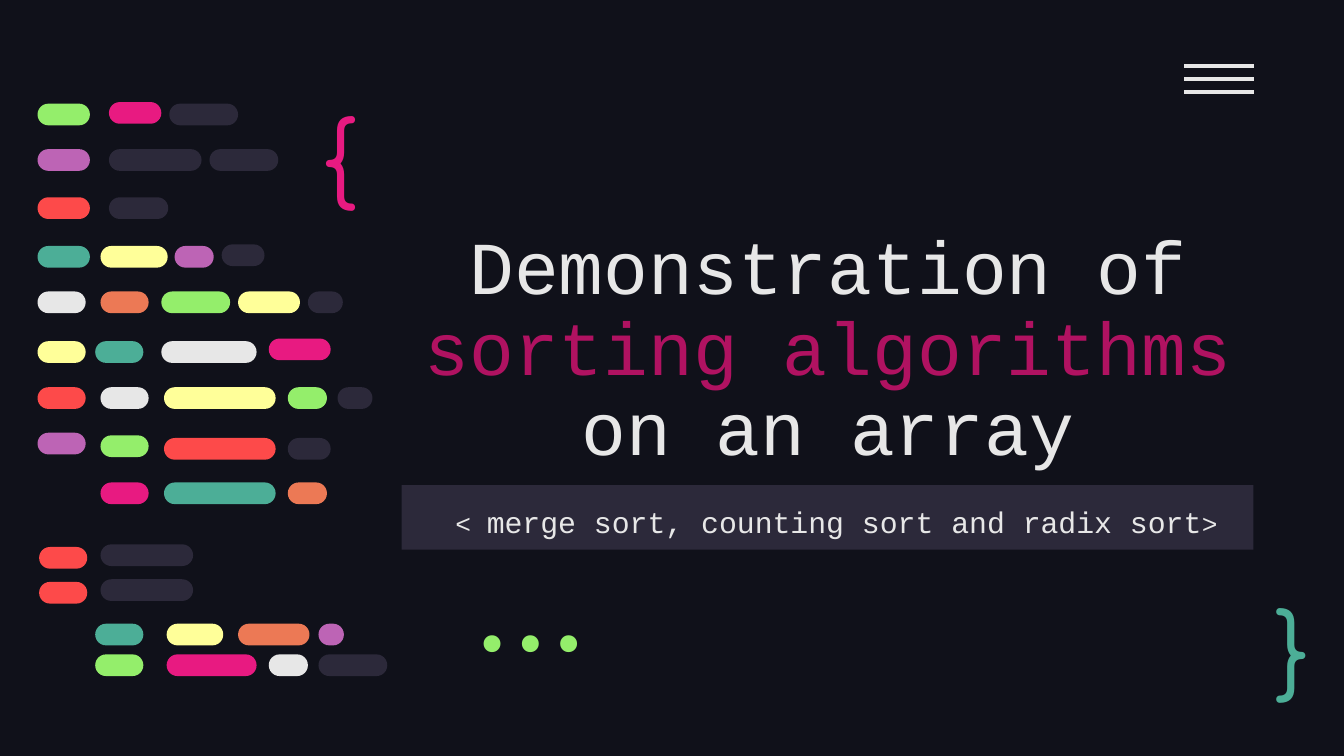
from typing import NamedTuple, Optional

import pptx
import pptx.dml.color
import pptx.enum.shapes
import pptx.enum.text
import pptx.oxml.ns
import pptx.util
from lxml import etree

Cm = pptx.util.Cm
ALIGN = pptx.enum.text.PP_ALIGN
ANCHOR = pptx.enum.text.MSO_ANCHOR

COLORS = {
    "night": "10111A",
    "slate": "2C293A",
    "white": "E7E7E7",
    "berry": "B01261",
    "pink": "E81A81",
    "teal": "4CAE97",
    "green": "94EE6B",
    "purple": "BD64B5",
    "red": "FD4A4A",
    "yellow": "FFFF99",
    "orange": "EC7955",
}
PILL_HEIGHT = 0.41


class Pill(NamedTuple):
    left: float
    top: float
    width: float
    color: str


class Run(NamedTuple):
    text: str
    size: float
    font: str
    color: str


class Label(NamedTuple):
    left: float
    top: float
    width: float
    height: float
    runs: list[Run]
    align: ALIGN = ALIGN.LEFT
    anchor: ANCHOR = ANCHOR.TOP
    spacing: float = 1.0
    fill: Optional[str] = None


MONO = "Courier New"
LABELS = [
    Label(7.59, 3.51, 16.1, 5.66, [
        Run("Demonstration of ", 40, MONO, "white"),
        Run("sorting algorithms ", 40, MONO, "berry"),
        Run("on an array", 40, MONO, "white"),
    ], ALIGN.CENTER, ANCHOR.BOTTOM, 0.9),
    Label(7.59, 9.17, 16.1, 1.22, [
        Run(" ", 16, MONO, "white"),
        Run("< ", 14, MONO, "white"),
        Run("merge sort, counting sort and radix sort", 16, MONO, "white"),
        Run(">", 14, MONO, "white"),
    ], ALIGN.CENTER, ANCHOR.TOP, 1.15, "slate"),
    Label(5.82, 1.57, 1.96, 2.41, [Run("{", 50, "Comfortaa", "pink")]),
    Label(23.85, 11.13, 1.45, 2.11, [Run("}", 50, "Comfortaa", "teal")],
          anchor=ANCHOR.MIDDLE),
    Label(7.9, 11.4, 4.01, 1.52, [Run("...", 50, "Fira Code", "green")],
          ALIGN.RIGHT, ANCHOR.BOTTOM),
]

PILLS = [
    Pill(0.71, 1.96, 0.99, "green"),
    Pill(2.06, 1.93, 0.99, "pink"),
    Pill(3.2, 1.96, 1.3, "slate"),
    Pill(0.71, 2.82, 0.99, "purple"),
    Pill(2.06, 2.82, 1.75, "slate"),
    Pill(3.96, 2.82, 1.3, "slate"),
    Pill(0.71, 3.73, 0.99, "red"),
    Pill(2.06, 3.73, 1.12, "slate"),
    Pill(0.71, 4.65, 0.99, "teal"),
    Pill(1.9, 4.65, 1.27, "yellow"),
    Pill(3.3, 4.65, 0.74, "purple"),
    Pill(4.19, 4.62, 0.81, "slate"),
    Pill(0.71, 5.51, 0.91, "white"),
    Pill(1.9, 5.51, 0.91, "orange"),
    Pill(3.05, 5.51, 1.3, "green"),
    Pill(4.5, 5.51, 1.17, "yellow"),
    Pill(5.82, 5.51, 0.66, "slate"),
    Pill(0.71, 6.45, 0.91, "yellow"),
    Pill(1.8, 6.45, 0.91, "teal"),
    Pill(3.05, 6.45, 1.8, "white"),
    Pill(5.08, 6.4, 1.17, "pink"),
    Pill(0.71, 7.32, 0.91, "red"),
    Pill(1.9, 7.32, 0.91, "white"),
    Pill(3.1, 7.32, 2.11, "yellow"),
    Pill(5.44, 7.32, 0.74, "green"),
    Pill(6.38, 7.32, 0.66, "slate"),
    Pill(0.71, 8.18, 0.91, "purple"),
    Pill(1.9, 8.23, 0.91, "green"),
    Pill(3.1, 8.28, 2.11, "red"),
    Pill(5.44, 8.28, 0.81, "slate"),
    Pill(1.9, 9.12, 0.91, "pink"),
    Pill(3.1, 9.12, 2.11, "teal"),
    Pill(5.44, 9.12, 0.74, "orange"),
    Pill(0.74, 10.34, 0.91, "red"),
    Pill(1.9, 10.29, 1.75, "slate"),
    Pill(0.74, 11, 0.91, "red"),
    Pill(1.9, 10.95, 1.75, "slate"),
    Pill(1.8, 11.79, 0.91, "teal"),
    Pill(3.15, 11.79, 1.07, "yellow"),
    Pill(4.5, 11.79, 1.35, "orange"),
    Pill(6.02, 11.79, 0.48, "purple"),
    Pill(1.8, 12.37, 0.91, "green"),
    Pill(3.15, 12.37, 1.7, "pink"),
    Pill(5.08, 12.37, 0.74, "white"),
    Pill(6.02, 12.37, 1.3, "slate"),
]


def rgb(name: str) -> pptx.dml.color.RGBColor:
    return pptx.dml.color.RGBColor.from_string(COLORS[name])


def draw_label(shapes, label: Label) -> None:
    sp = shapes.add_textbox(Cm(label.left), Cm(label.top), Cm(label.width), Cm(label.height))
    if label.fill:
        sp.fill.solid()
        sp.fill.fore_color.rgb = rgb(label.fill)
    tf = sp.text_frame
    tf.word_wrap = True
    tf.vertical_anchor = label.anchor
    tf.margin_left = tf.margin_right = tf.margin_top = tf.margin_bottom = Cm(0.25)
    p = tf.paragraphs[0]
    p.alignment = label.align
    p.line_spacing = label.spacing
    for run in label.runs:
        r = p.add_run()
        r.text = run.text
        r.font.size = pptx.util.Pt(run.size)
        r.font.name = run.font
        r.font.color.rgb = rgb(run.color)


def draw_pill(shapes, pill: Pill) -> None:
    sp = shapes.add_shape(pptx.enum.shapes.MSO_SHAPE.ROUNDED_RECTANGLE,
                          Cm(pill.left), Cm(pill.top), Cm(pill.width), Cm(PILL_HEIGHT))
    sp.adjustments[0] = 0.5
    sp.shadow.inherit = False
    sp.fill.solid()
    sp.fill.fore_color.rgb = rgb(pill.color)
    sp.line.fill.background()


def draw_menu_bar(shapes, top: float) -> None:
    bar = shapes.add_connector(pptx.enum.shapes.MSO_CONNECTOR.STRAIGHT,
                               Cm(22.38), Cm(top), Cm(23.7), Cm(top))
    bar.line.color.rgb = rgb("white")
    bar.line.width = pptx.util.Pt(2.25)
    etree.SubElement(bar._element.spPr, pptx.oxml.ns.qn("a:effectLst"))


def main() -> None:
    prs = pptx.Presentation()
    prs.slide_width, prs.slide_height = Cm(25.4), Cm(14.29)
    s = prs.slides.add_slide(prs.slide_layouts[6])
    s.background.fill.solid()
    s.background.fill.fore_color.rgb = rgb("night")
    for label in LABELS:
        draw_label(s.shapes, label)
    for i in range(3):
        draw_menu_bar(s.shapes, 1.24 + 0.25 * i)
    menu_and_code = s.shapes.add_group_shape()
    for pill in PILLS:
        draw_pill(menu_and_code.shapes, pill)
    prs.save("out.pptx")


if __name__ == "__main__":
    main()
